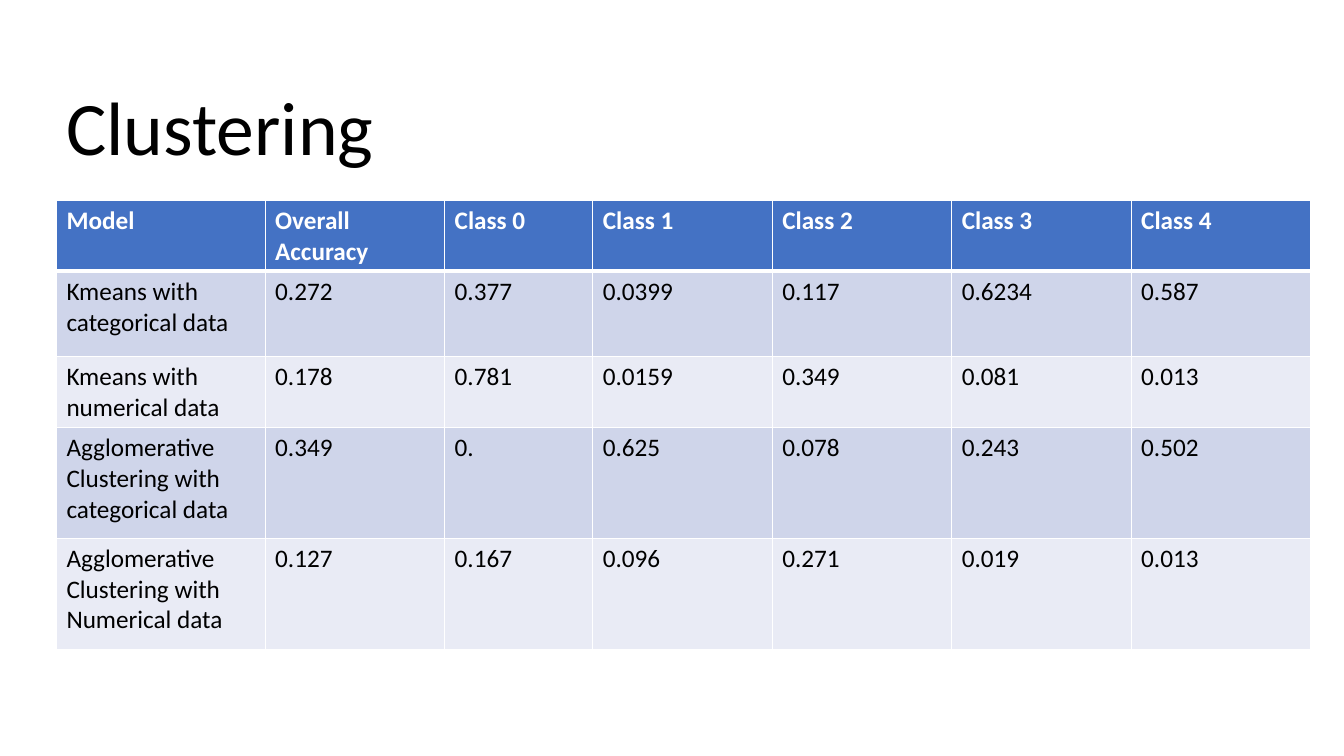
from lxml.etree import SubElement
from pptx import Presentation
from pptx.dml.color import RGBColor
from pptx.enum.text import MSO_ANCHOR
from pptx.oxml.ns import qn
from pptx.util import Inches, Pt


def style_run(r, size, color, bold=False):
    """Set the font, size, hex colour and weight of a run."""
    r.font.name = "Calibri"
    r.font.size = Pt(size)
    r.font.bold = bold
    r.font.color.rgb = RGBColor.from_string(color)


def add_border(cell, side, width, color="FFFFFF"):
    """Draw one cell edge (L, R, T or B) in the given point width."""
    ln = SubElement(cell._tc.get_or_add_tcPr(), qn(f"a:ln{side}"), w=str(Pt(width)))
    SubElement(SubElement(ln, qn("a:solidFill")), qn("a:srgbClr"), val=color)


prs = Presentation()
prs.slide_width, prs.slide_height = Inches(13.33), Inches(7.5)
s = prs.slides.add_slide(prs.slide_layouts[6])

# Title
sp = s.shapes.add_textbox(Inches(0.56), Inches(0.57), Inches(10), Inches(1.18))
tf = sp.text_frame
tf.word_wrap = True
tf.vertical_anchor = MSO_ANCHOR.BOTTOM
p = tf.paragraphs[0]
p.text = "Clustering"
p.line_spacing = 0.9
style_run(p.runs[0], 54, "000000")

# Accuracy table
results = [
    ["Model", "Overall Accuracy"] + [f"Class {n}" for n in range(5)],
    ["Kmeans with categorical data", "0.272", "0.377", "0.0399", "0.117", "0.6234", "0.587"],
    ["Kmeans with numerical data", "0.178", "0.781", "0.0159", "0.349", "0.081", "0.013"],
    ["Agglomerative Clustering with categorical data",
     "0.349", "0.", "0.625", "0.078", "0.243", "0.502"],
    ["Agglomerative Clustering with Numerical data",
     "0.127", "0.167", "0.096", "0.271", "0.019", "0.013"],
]
col_widths = [2.07, 1.78, 1.47] + [1.78] * 4
row_heights = [0.7, 0.85, 0.7, 1.1, 1.1]
table = s.shapes.add_table(
    len(row_heights), len(col_widths), Inches(0.56), Inches(1.99),
    Inches(sum(col_widths)), Inches(sum(row_heights))).table
for col, width in zip(table.columns, col_widths):
    col.width = Inches(width)

for i, (row, height, values) in enumerate(zip(table.rows, row_heights, results)):
    row.height = Inches(height)
    header = i == 0
    fill = "4472C4" if header else ("E9EBF5", "CFD5EA")[i % 2]
    for cell, value in zip(row.cells, values):
        cell.text = value
        style_run(cell.text_frame.paragraphs[0].runs[0], 18,
                  "FFFFFF" if header else "000000", header)
        for side in "LRTB":
            thick = (header and side == "B") or (i == 1 and side == "T")
            add_border(cell, side, 3 if thick else 1)
        cell.fill.solid()
        cell.fill.fore_color.rgb = RGBColor.from_string(fill)

prs.save("out.pptx")
